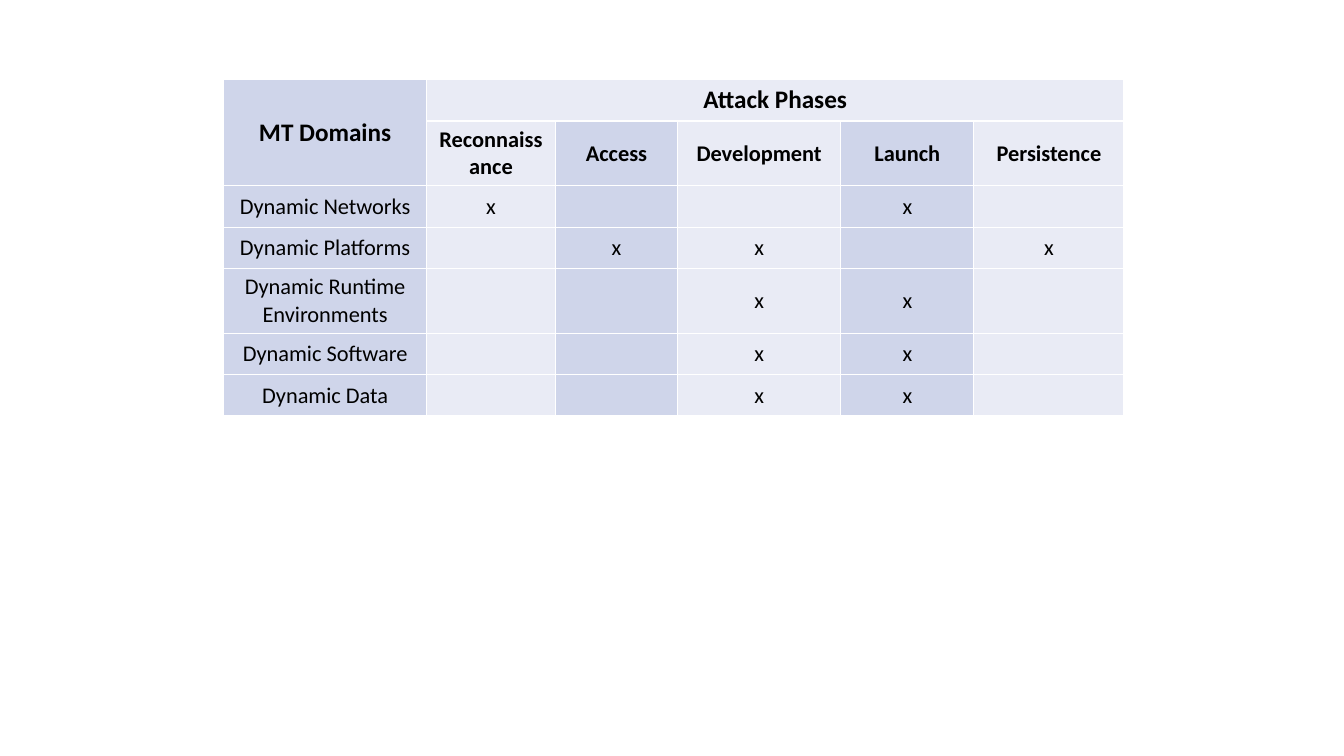
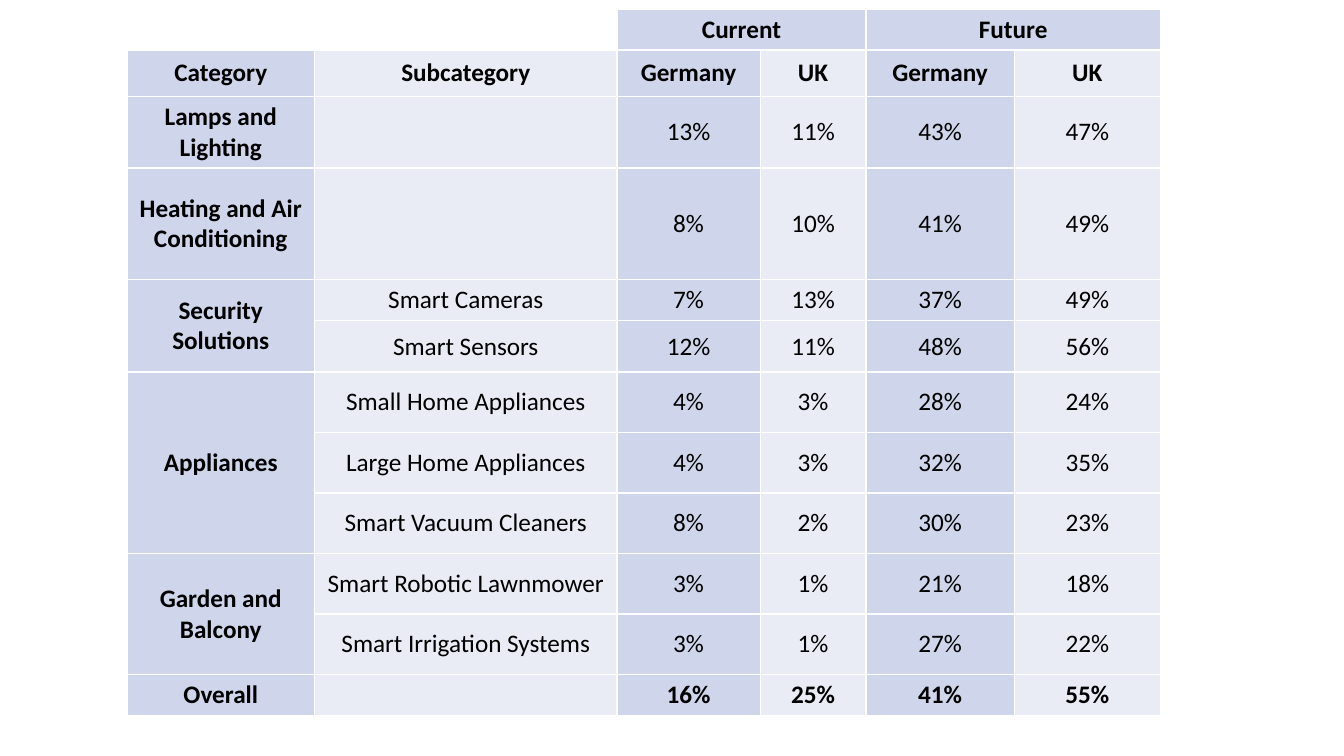
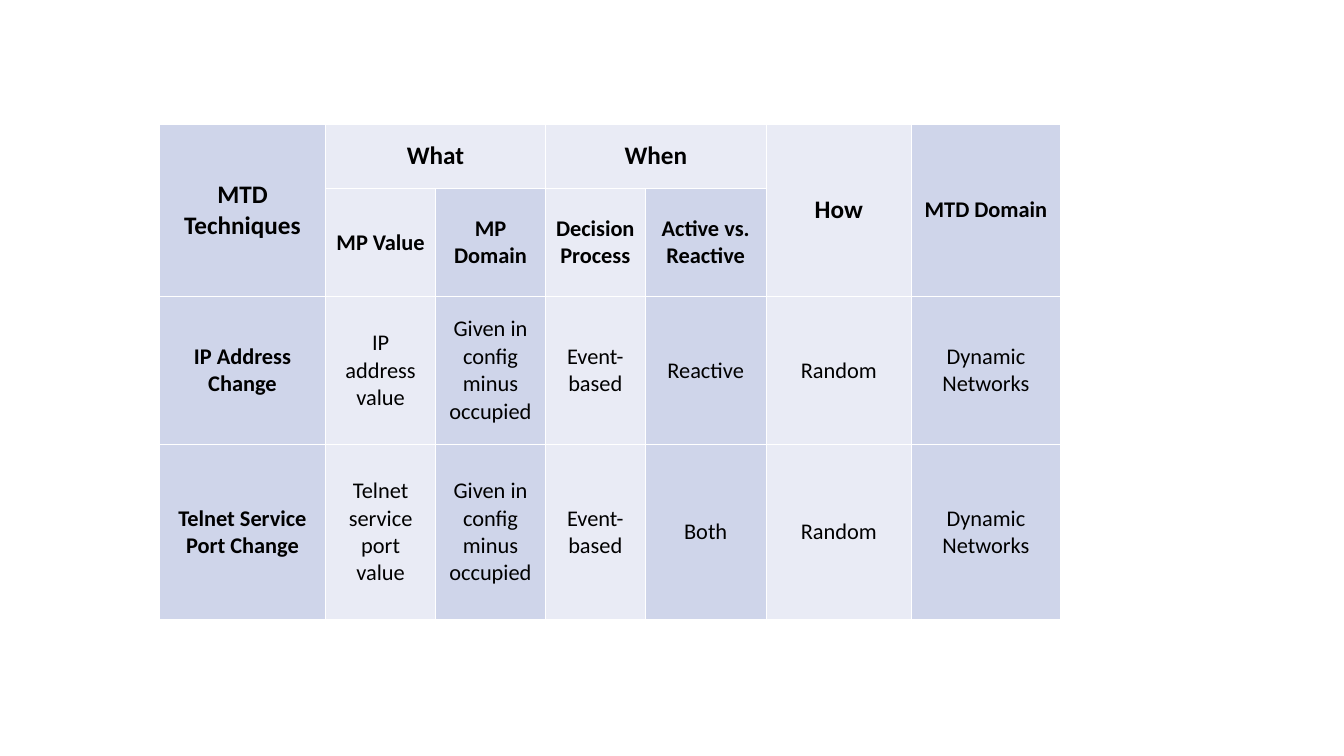
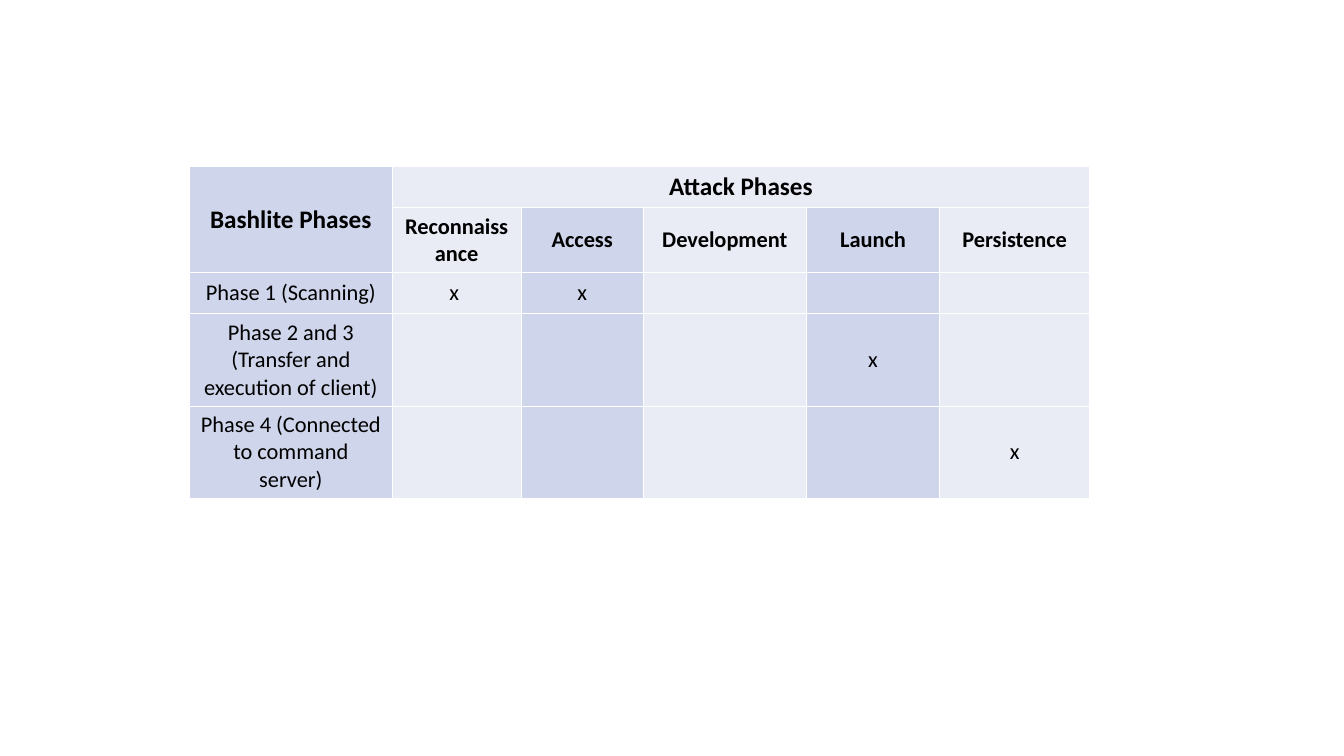
from dataclasses import dataclass

from lxml import etree
from pptx import Presentation
from pptx.dml.color import RGBColor
from pptx.enum.text import MSO_ANCHOR, PP_ALIGN
from pptx.oxml.ns import qn
from pptx.util import Emu, Pt

PX = 9144  # EMU per px, 100 px to the inch
CENTER = PP_ALIGN.CENTER
MIDDLE = MSO_ANCHOR.MIDDLE
LEFT, UP = "<", "^"  # the cell belongs to its left or upper neighbour


@dataclass(frozen=True)
class Theme:
    font: str = "Calibri"
    text: str = "000000"
    blank: str = "FFFFFF"
    border: str = "FFFFFF"
    border_width: int = 12700
    columns: tuple = ("CFD5EA", "E9EBF5")  # alternate from left to right
    large: int = 18
    small: int = 16


class Deck:
    def __init__(self, theme, width, height):
        self.theme = theme
        self.prs = Presentation()
        self.prs.slide_width = Emu(width * PX)
        self.prs.slide_height = Emu(height * PX)
        self.s = None

    def slide(self):
        self.s = self.prs.slides.add_slide(self.prs.slide_layouts[6])

    def table(self, left, top, widths, heights, rows, body=None,
              bold_rows=(0, 1), bold_first=False, small=(), blank=()):
        """Draw rows of text; small and blank hold (row, column) exceptions."""
        t = self.theme
        frame = self.s.shapes.add_table(
            len(rows), len(widths), Emu(left * PX), Emu(top * PX),
            Emu(sum(widths) * PX), Emu(sum(heights) * PX))
        tbl = frame.table
        tbl.first_row = tbl.horz_banding = False
        for col, width in zip(tbl.columns, widths):
            col.width = Emu(width * PX)
        for row, height in zip(tbl.rows, heights):
            row.height = Emu(height * PX)

        for i, row in enumerate(rows):
            for j, text in enumerate(row):
                cell = tbl.cell(i, j)
                self.border(cell)
                fill = t.blank if (i, j) in blank else t.columns[j % 2]
                cell.fill.solid()
                cell.fill.fore_color.rgb = RGBColor.from_string(fill)
                if text and text not in (LEFT, UP):
                    large = i == 0 and (i, j) not in small
                    self.text(cell, text, {
                        "name": t.font,
                        "size": Pt(t.large if large else body or t.small),
                        "bold": i in bold_rows or (bold_first and j == 0),
                    })
        self.merge(tbl, rows)

    def border(self, cell):
        tc_pr = cell._tc.get_or_add_tcPr()
        for side in ("lnL", "lnR", "lnT", "lnB"):
            ln = etree.SubElement(tc_pr, qn(f"a:{side}"),
                                  w=str(self.theme.border_width))
            fill = etree.SubElement(ln, qn("a:solidFill"))
            etree.SubElement(fill, qn("a:srgbClr"), val=self.theme.border)

    def text(self, cell, text, style):
        cell.vertical_anchor = MIDDLE
        p = cell.text_frame.paragraphs[0]
        p.alignment = CENTER
        r = p.add_run()
        r.text = text
        for name, value in style.items():
            setattr(r.font, name, value)
        r.font.color.rgb = RGBColor.from_string(self.theme.text)

    def merge(self, tbl, rows):
        for i, row in enumerate(rows):
            for j, text in enumerate(row):
                if text in (LEFT, UP):
                    continue
                bottom, right = i, j
                while right + 1 < len(row) and row[right + 1] == LEFT:
                    right += 1
                while bottom + 1 < len(rows) and rows[bottom + 1][j] == UP:
                    bottom += 1
                if (bottom, right) != (i, j):
                    tbl.cell(i, j).merge(tbl.cell(bottom, right))

    def attack_table(self, left, top, title, rows):
        """Mark which attack phases each row concerns."""
        head = [
            [title, "Attack Phases", LEFT, LEFT, LEFT, LEFT],
            [UP, "Reconnaissance", "Access", "Development", "Launch",
             "Persistence"],
        ]
        rows = head + rows
        self.table(left, top, [201, 128, 121, 162, 132, 149],
                   [41] * len(rows), rows)


def main():
    theme = Theme()
    deck = Deck(theme, 1333, 750)

    # Moving target domains
    deck.slide()
    deck.attack_table(222, 79, "MT Domains", [
        ["Dynamic Networks", "x", "", "", "x", ""],
        ["Dynamic Platforms", "", "x", "x", "", "x"],
        ["Dynamic Runtime Environments", "", "", "x", "x", ""],
        ["Dynamic Software", "", "", "x", "x", ""],
        ["Dynamic Data", "", "", "x", "x", ""],
    ])

    # Smart home use by country
    deck.slide()
    deck.table(
        126, 9, [186, 300, 142, 105, 147, 145],
        [34, 46, 62, 111, 34, 51] + [60] * 5 + [34],
        [
            ["", "", "Current", LEFT, "Future", LEFT],
            ["Category", "Subcategory", "Germany", "UK", "Germany", "UK"],
            ["Lamps and Lighting", "", "13%", "11%", "43%", "47%"],
            ["Heating and Air Conditioning", "", "8%", "10%", "41%", "49%"],
            ["Security Solutions", "Smart Cameras",
             "7%", "13%", "37%", "49%"],
            [UP, "Smart Sensors", "12%", "11%", "48%", "56%"],
            ["Appliances", "Small Home Appliances",
             "4%", "3%", "28%", "24%"],
            [UP, "Large Home Appliances", "4%", "3%", "32%", "35%"],
            [UP, "Smart Vacuum Cleaners", "8%", "2%", "30%", "23%"],
            ["Garden and Balcony", "Smart Robotic Lawnmower",
             "3%", "1%", "21%", "18%"],
            [UP, "Smart Irrigation Systems", "3%", "1%", "27%", "22%"],
            ["Overall", "", "16%", "25%", "41%", "55%"],
        ],
        body=theme.large, bold_rows=(0, 1, 11), bold_first=True,
        blank=((0, 0), (0, 1)))

    # Defence techniques
    deck.slide()
    deck.table(
        158, 123, [165, 109, 109, 99, 120, 144, 148], [64, 107, 147, 174],
        [
            ["MTD Techniques", "What", LEFT, "When", LEFT, "How",
             "MTD Domain"],
            [UP, "MP Value", "MP Domain", "Decision Process",
             "Active vs. Reactive", UP, UP],
            ["IP Address Change", "IP address value",
             "Given in config minus occupied", "Event-based", "Reactive",
             "Random", "Dynamic Networks"],
            ["Telnet Service Port Change", "Telnet service port value",
             "Given in config minus occupied", "Event-based", "Both",
             "Random", "Dynamic Networks"],
        ],
        bold_first=True, small=((0, 6),))

    # Botnet phases
    deck.slide()
    deck.attack_table(188, 165, "Bashlite Phases", [
        ["Phase 1 (Scanning)", "x ", "x", "", "", ""],
        ["Phase 2 and 3 (Transfer and execution of client)",
         "", "", "", "x", ""],
        ["Phase 4 (Connected to command server)", "", "", "", "", "x"],
    ])

    deck.prs.save("out.pptx")


if __name__ == "__main__":
    main()
